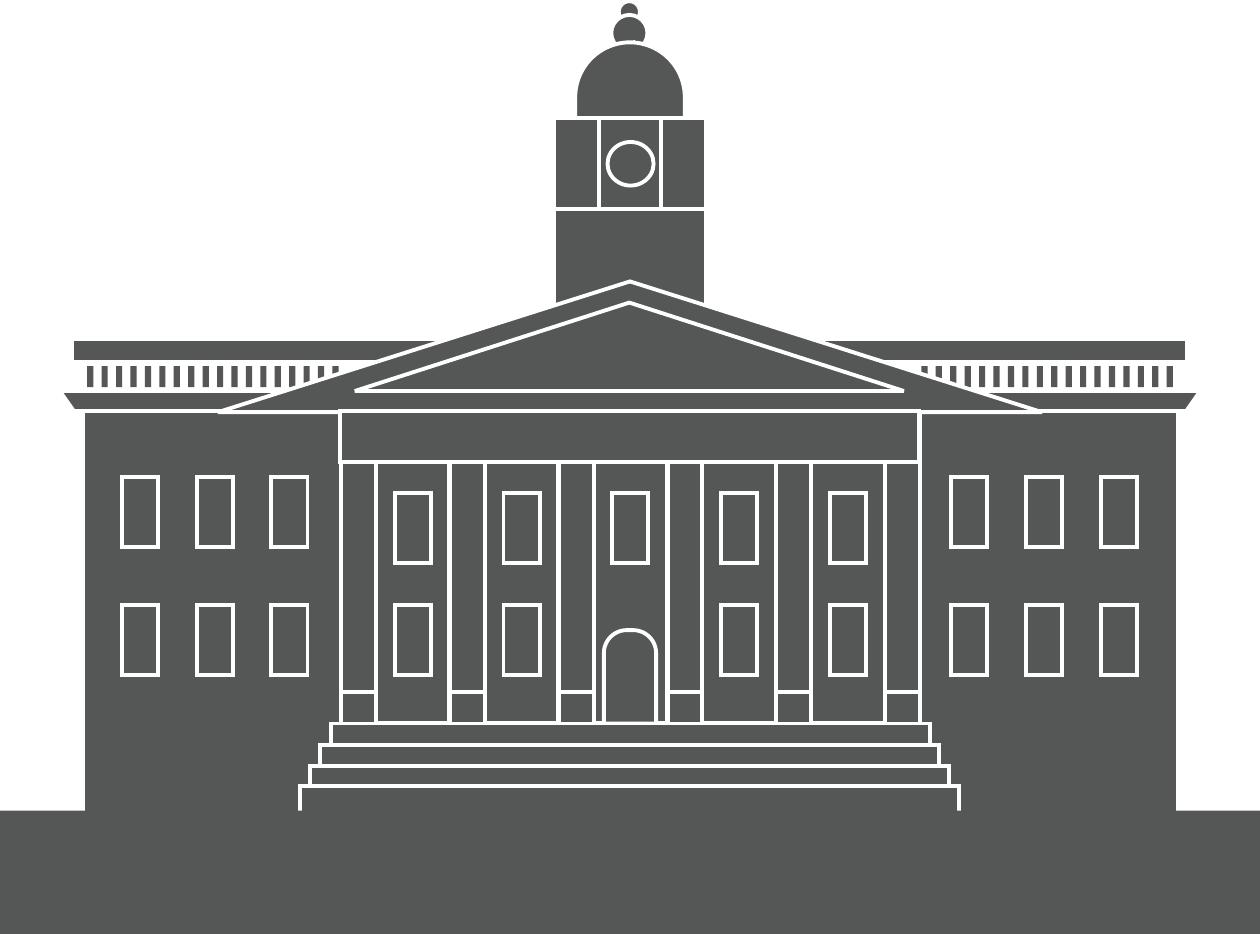
import dataclasses
import lxml.etree
import pptx
import pptx.dml.color
import pptx.enum.shapes
import pptx.oxml.ns
import pptx.util

Inches = pptx.util.Inches
Kind = pptx.enum.shapes.MSO_SHAPE


@dataclasses.dataclass(frozen=True)
class Theme:
    stone: str = "555656"
    trim: str = "FFFFFF"
    edge: float = 2.25


class Painter:
    def __init__(self, slide, theme):
        self.slide = slide
        self.theme = theme

    def color(self, code):
        return pptx.dml.color.RGBColor.from_string(code)

    def shape(self, kind, left, top, width, height, adjust=(), edged=True, **style):
        item = self.slide.shapes.add_shape(
            kind, Inches(left), Inches(top), Inches(width), Inches(height))
        item.shadow.inherit = False
        item.fill.solid()
        item.fill.fore_color.rgb = self.color(self.theme.stone)
        for index, value in enumerate(adjust):
            item.adjustments[index] = value
        for name, value in style.items():
            setattr(item, name, value)
        if edged:
            self.edge(item)
        else:
            item.line.fill.background()
        return item

    def edge(self, item):
        item.line.fill.solid()
        item.line.fill.fore_color.rgb = self.color(self.theme.trim)
        item.line.width = pptx.util.Pt(self.theme.edge)
        name = pptx.oxml.ns.qn
        line = item.element.spPr.find(name("a:ln"))
        lxml.etree.SubElement(line, name("a:miter")).set("lim", "800000")

    def box(self, left, top, width, height, edged=True):
        return self.shape(Kind.RECTANGLE, left, top, width, height, edged=edged)

    def disc(self, left, top, width, height):
        return self.shape(Kind.OVAL, left, top, width, height)

    def gable(self, left, top, width, height):
        return self.shape(Kind.ISOSCELES_TRIANGLE, left, top, width, height)

    def arch(self, left, top, width, height, curve):
        return self.shape(Kind.ROUND_2_SAME_RECTANGLE, left, top, width, height,
                          (curve, 0))

    def ledge(self, left, top, width, height, slant):
        return self.shape(Kind.TRAPEZOID, left, top, width, height, (slant,),
                          rotation=180)

    def window(self, left, top):
        return self.box(left, top, 0.29, 0.56)


def draw_roof(paint):
    for start in (7.4, 0.7):
        for post in range(18):
            paint.box(start + post * 1.97 / 17, 2.94, 0.05, 0.17, edged=False)
    for left in (0.48, 7.73):
        paint.ledge(left, 3.14, 1.91, 0.16, 0.7)
    paint.box(0.58, 2.72, 8.95, 0.19)


def draw_tower(paint):
    paint.disc(4.97, 0.01, 0.17, 0.17)
    paint.disc(4.91, 0.12, 0.29, 0.29)
    paint.arch(4.62, 0.34, 0.88, 1.38, 0.5)
    paint.box(4.45, 1.68, 1.22, 0.81)
    for left, width in ((4.81, 0.5), (4.45, 0.36), (5.31, 0.36)):
        paint.box(left, 0.95, width, 0.73)
    paint.disc(4.88, 1.14, 0.37, 0.35)


def draw_porch(paint):
    pitch = 4.37 / 5
    for bay in range(5):
        paint.box(3.01 + bay * pitch, 3.71, 0.6, 2.1)
        paint.window(3.17 + bay * pitch, 3.96)
        if bay != 2:
            paint.window(3.17 + bay * pitch, 4.86)
    paint.arch(4.85, 5.06, 0.42, 0.75, 0.44)
    for column in range(6):
        for top, height in ((3.71, 1.85), (5.56, 0.25)):
            paint.box(2.74 + column * pitch, top, 0.28, height)
    paint.box(2.73, 3.3, 4.65, 0.41)


def draw_wings(paint):
    for start in (0.98, 7.64):
        for top in (3.83, 4.86):
            for column in range(3):
                paint.window(start + column * 0.6, top)


def draw_steps(paint):
    for left, top, width, height in (
            (2.66, 5.81, 4.81, 0.17), (2.57, 5.98, 4.97, 0.17),
            (2.49, 6.15, 5.13, 0.17), (2.41, 6.31, 5.29, 0.22)):
        paint.box(left, top, width, height)


def main():
    deck = pptx.Presentation()
    size = {"slide_width": Inches(10.12), "slide_height": Inches(7.5)}
    for name, value in size.items():
        setattr(deck, name, value)
    paint = Painter(deck.slides.add_slide(deck.slide_layouts[6]), Theme())
    for left, height in ((7.39, 3.29), (0.67, 3.37)):
        paint.box(left, 3.3, 2.07, height)
    draw_roof(paint)
    draw_tower(paint)
    paint.gable(1.75, 2.26, 6.62, 1.05)
    paint.gable(2.85, 2.43, 4.41, 0.71)
    draw_porch(paint)
    draw_wings(paint)
    draw_steps(paint)
    paint.box(0, 6.51, 10.12, 0.99, edged=False)
    deck.save("out.pptx")


if __name__ == "__main__":
    main()
